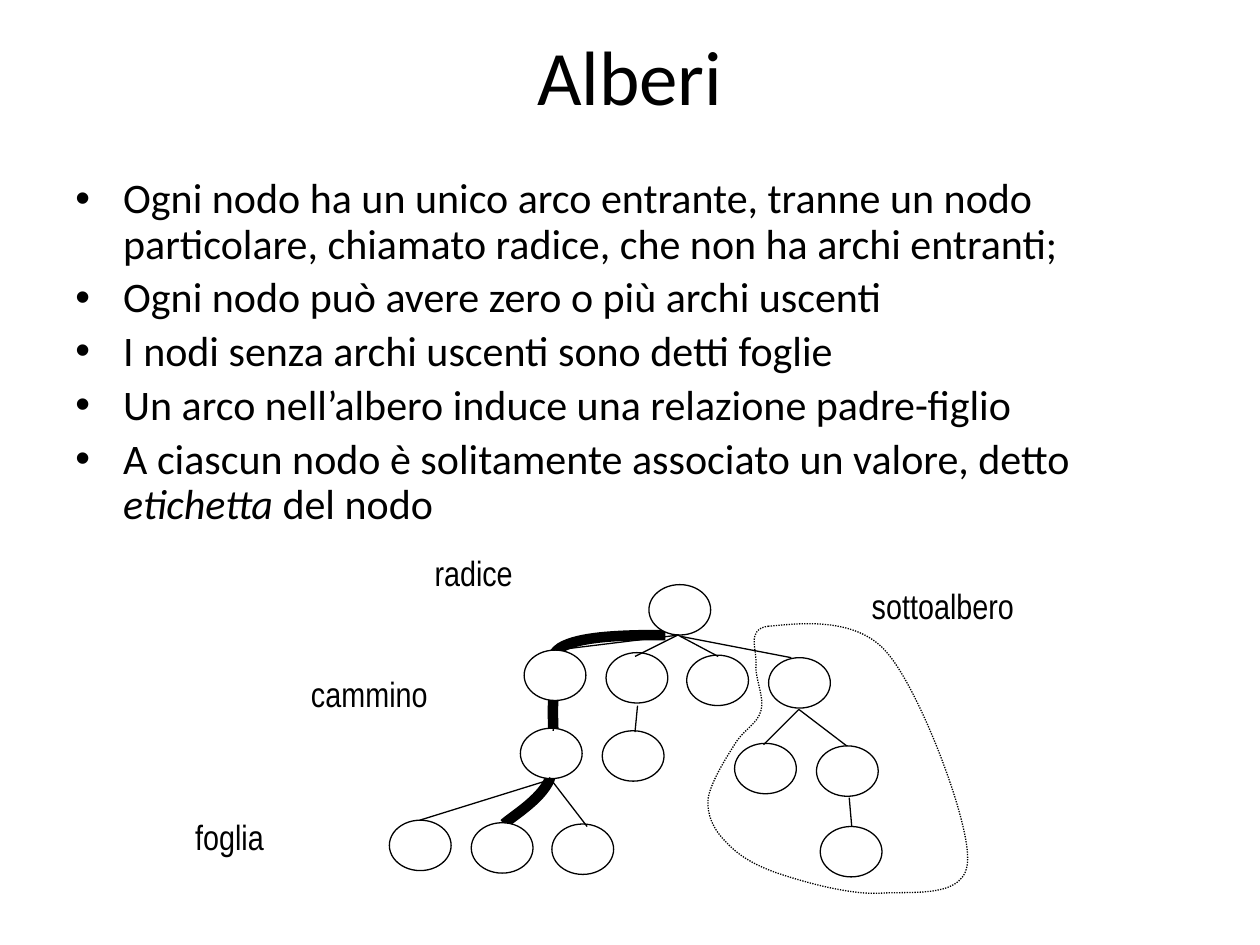
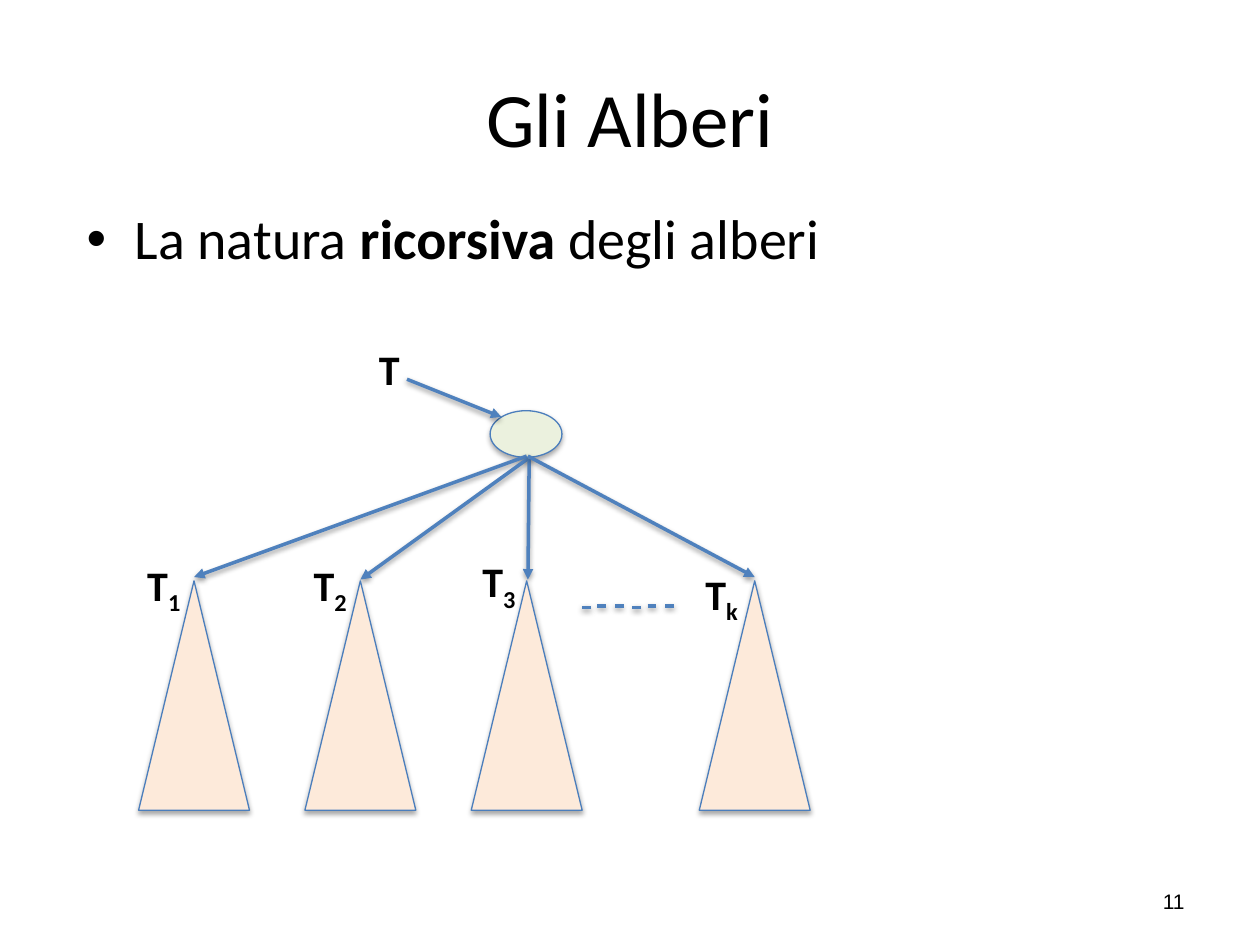
from lxml import etree
from pptx import Presentation
from pptx import util as u
from pptx.dml.color import RGBColor
from pptx.enum import dml, shapes, text
from pptx.oxml.ns import qn

BLACK = RGBColor(0x00, 0x00, 0x00)
WHITE = RGBColor(0xFF, 0xFF, 0xFF)
BLUE = RGBColor(0x4F, 0x81, 0xBD)
OUTLINE = RGBColor(0x4B, 0x7E, 0xBC)
GREEN = RGBColor(0xEB, 0xF1, 0xDE)
PEACH = RGBColor(0xFD, 0xEA, 0xDA)

TITLE = {"size": u.Pt(44), "name": "Calibri"}
LABEL = {"size": u.Pt(20), "name": "Arial Narrow"}
TREE_LABEL = {"size": u.Pt(24), "name": "Calibri", "bold": True}
NUMBER = {"size": u.Pt(12), "name": "Arial"}

# Shadows: opacity %, blur pt, distance pt
SHAPE_SHADOW = (35, 3.1, 1.8)
LINE_SHADOW = (38, 3.1, 1.6)

NODE_W, NODE_H = 0.49, 0.4
NODES = [(5.15, 4.64), (5.45, 5.2), (6.1, 5.22), (4.16, 5.16), (4.81, 5.18),
         (5.83, 5.9), (6.48, 5.92), (4.13, 5.78), (4.78, 5.8),
         (4.38, 6.54), (6.51, 6.56), (3.09, 6.51), (3.74, 6.53)]
EDGES = [(4.41, 5.16, 5.39, 5.04), (5.38, 5.04, 5.04, 5.21),
         (5.38, 5.04, 5.7, 5.21), (5.4, 5.05, 6.28, 5.22),
         (4.41, 5.56, 4.39, 5.8), (5.06, 5.6, 5.04, 5.81),
         (6.34, 5.63, 6.06, 5.91), (6.34, 5.63, 6.72, 5.92),
         (4.36, 6.19, 3.33, 6.51), (4.36, 6.17, 4.66, 6.56),
         (4.36, 6.19, 4, 6.53), (6.74, 6.33, 6.76, 6.56)]

# Bezier curves: a start point, then three points for each segment
TREE_PATH = [(5.28, 5.04),
             (4.94, 5.04), (4.6, 5.05), (4.45, 5.14),
             (4.3, 5.24), (4.41, 5.41), (4.39, 5.58),
             (4.38, 5.75), (4.42, 6.02), (4.36, 6.19),
             (4.29, 6.35), (4.05, 6.49), (4, 6.54)]
SUBTREE = [(6.1, 4.97),
           (5.92, 4.99), (6.01, 5.16), (6, 5.27),
           (5.99, 5.38), (6.07, 5.54), (6.04, 5.64),
           (6.01, 5.75), (5.9, 5.79), (5.83, 5.91),
           (5.76, 6.02), (5.64, 6.21), (5.62, 6.34),
           (5.61, 6.47), (5.66, 6.58), (5.76, 6.68),
           (5.85, 6.78), (5.97, 6.86), (6.17, 6.93),
           (6.38, 7), (6.73, 7.1), (6.98, 7.09),
           (7.24, 7.07), (7.68, 7.14), (7.68, 6.82),
           (7.69, 6.5), (7.3, 5.48), (7.04, 5.18),
           (6.78, 4.87), (6.27, 4.96), (6.1, 4.97)]


def inches(values):
    return [u.Inches(v) for v in values]


def apply(target, values):
    for name, value in values.items():
        setattr(target, name, value)


def add_run(p, words, font, **extra):
    r = p.add_run()
    r.text = words
    apply(r.font, {**font, **extra})
    r.font.color.rgb = BLACK
    return r


def add_box(parent, at, **frame):
    tf = parent.add_textbox(*inches(at)).text_frame
    apply(tf, {"word_wrap": True, **frame})
    return tf


def add_title(slide, words, at):
    p = add_box(slide.shapes, at,
                vertical_anchor=text.MSO_ANCHOR.MIDDLE).paragraphs[0]
    p.alignment = text.PP_ALIGN.CENTER
    add_run(p, words, TITLE)


def add_bullets(slide, at, items, size, spacing=None):
    """Each item is a list of (words, extra font values)."""
    tf = add_box(slide.shapes, at)
    for i, item in enumerate(items):
        p = tf.add_paragraph() if i else tf.paragraphs[0]
        apply(p, {"line_spacing": spacing, "space_before": u.Pt(size * 0.2)})
        pPr = p._p.get_or_add_pPr()
        pPr.set("marL", str(u.Inches(0.38)))
        pPr.set("indent", str(u.Inches(-0.38)))
        etree.SubElement(pPr, qn("a:buFont")).set("typeface", "Arial")
        etree.SubElement(pPr, qn("a:buChar")).set("char", "•")
        for words, extra in item:
            add_run(p, words, {"size": u.Pt(size), "name": "Calibri"}, **extra)


def add_label(parent, at, words, font, subscript=None):
    p = add_box(parent, at, word_wrap=False,
                auto_size=text.MSO_AUTO_SIZE.SHAPE_TO_FIT_TEXT).paragraphs[0]
    add_run(p, words, font)
    if subscript:
        r = add_run(p, subscript, font)
        r._r.get_or_add_rPr().set("baseline", "-25000")


def add_shadow(effects, opacity, blur, distance):
    shadow = etree.SubElement(effects, qn("a:outerShdw"), {
        "blurRad": str(u.Pt(blur)), "dist": str(u.Pt(distance)),
        "dir": "5400000", "rotWithShape": "0"})
    color = etree.SubElement(shadow, qn("a:srgbClr"), val=str(BLACK))
    etree.SubElement(color, qn("a:alpha"), val=str(opacity * 1000))


def set_line(line, color, width):
    line.color.rgb = color
    line.width = u.Pt(width)


def add_figure(parent, kind, at, fill, color, shadow=None):
    sp = parent.add_shape(kind, *inches(at))
    sp.shadow.inherit = False
    sp.fill.solid()
    sp.fill.fore_color.rgb = fill
    set_line(sp.line, color, 0.75)
    if shadow:
        add_shadow(sp._element.spPr.find(qn("a:effectLst")), *shadow)


def add_line(parent, ends, color, width, arrow=False, shadow=None):
    c = parent.add_connector(shapes.MSO_CONNECTOR.STRAIGHT, *inches(ends))
    set_line(c.line, color, width)
    spPr = c._element.spPr
    if arrow:
        etree.SubElement(spPr.find(qn("a:ln")), qn("a:tailEnd"), type="triangle")
    effects = etree.SubElement(spPr, qn("a:effectLst"))
    if shadow:
        add_shadow(effects, *shadow)


def add_curve(parent, points, width, close=False, dash=None):
    first, *rest = [inches(pt) for pt in points]
    builder = parent.build_freeform(*first)
    builder.add_line_segments(rest, close=close)
    sp = builder.convert_to_shape()
    # Merge every three straight segments into one cubic segment
    segments = list(sp._element.spPr.iter(qn("a:lnTo")))
    for i in range(0, len(segments), 3):
        cubic = etree.Element(qn("a:cubicBezTo"))
        segments[i].addprevious(cubic)
        for segment in segments[i:i + 3]:
            cubic.append(segment[0])
            segment.getparent().remove(segment)
    sp.shadow.inherit = False
    sp.fill.background()
    set_line(sp.line, BLACK, width)
    if dash:
        sp.line.dash_style = dash


def tree_slide(slide):
    add_title(slide, "Alberi", (0.5, 0.18, 9, 0.82))
    add_bullets(slide, (0.5, 1.36, 9.17, 3.14), [
        [("Ogni nodo ha un unico arco entrante, tranne un nodo particolare, "
          "chiamato radice, che non ha archi entranti;", {})],
        [("Ogni nodo può avere zero o più archi uscenti", {})],
        [("I nodi senza archi uscenti sono detti foglie", {})],
        [("Un arco nell’albero induce una relazione padre-figlio", {})],
        [("A ciascun nodo è solitamente associato un valore, detto ", {}),
         ("etichetta", {"italic": True}), (" del nodo", {})],
    ], 24, 0.9)

    # Tree: highlighted path, nodes, edges, subtree outline
    tree = slide.shapes.add_group_shape().shapes
    add_curve(tree, TREE_PATH, 6)
    for x, y in NODES:
        add_figure(tree, shapes.MSO_SHAPE.OVAL, (x, y, NODE_W, NODE_H), WHITE, BLACK)
    for ends in EDGES:
        add_line(tree, ends, BLACK, 0.75)
    add_curve(tree, SUBTREE, 0.75, close=True, dash=dml.MSO_LINE.ROUND_DOT)

    for words, x, y, w in [("sottoalbero", 6.82, 4.59, 2.41),
                           ("cammino", 2.37, 5.29, 2.04),
                           ("radice", 3.35, 4.33, 1.49),
                           ("foglia", 1.45, 6.42, 1.35)]:
        add_label(tree, (x, y, w, 0.65), words, LABEL)


def recursion_slide(slide):
    add_title(slide, "Gli Alberi", (0.5, 0.3, 9, 1.25))
    add_bullets(slide, (0.59, 1.57, 9, 0.9), [
        [("La natura ", {}), ("ricorsiva", {"bold": True}), (" degli alberi", {})],
    ], 32)

    # Slide number
    p = add_box(slide.shapes, (7.17, 6.95, 2.33, 0.4),
                vertical_anchor=text.MSO_ANCHOR.MIDDLE).paragraphs[0]
    p.alignment = text.PP_ALIGN.RIGHT
    add_run(p, "11", NUMBER)

    # Root and arrows
    sh = slide.shapes
    add_figure(sh, shapes.MSO_SHAPE.OVAL, (3.89, 3.26, 0.57, 0.37),
               GREEN, OUTLINE, SHAPE_SHADOW)
    for ends in [(3.23, 3.01, 3.98, 3.31), (4.18, 3.62, 1.54, 4.58),
                 (4.19, 3.64, 2.86, 4.6), (4.2, 3.64, 4.19, 4.6),
                 (4.19, 3.62, 5.99, 4.58)]:
        add_line(sh, ends, BLUE, 2, True, LINE_SHADOW)

    # Subtrees
    for x in (1.1, 2.42, 3.74, 5.55):
        add_figure(sh, shapes.MSO_SHAPE.ISOSCELES_TRIANGLE, (x, 4.61, 0.88, 1.82),
                   PEACH, OUTLINE, SHAPE_SHADOW)

    # Two groups of three dashes between the third subtree and the last
    for left in (4.62, 5.02):
        dashes = sh.add_group_shape().shapes
        for offset, y in [(0, 4.82), (0.12, 4.81), (0.26, 4.81)]:
            x = left + offset
            add_line(dashes, (x, y, x + 0.07, y), BLUE, 2, shadow=LINE_SHADOW)

    # Names of the trees
    add_label(sh, (2.91, 2.68, 0.37, 0.5), "T", TREE_LABEL)
    for index, x, y in [("1", 1.07, 4.39), ("2", 2.39, 4.39),
                        ("3", 3.73, 4.36), ("k", 5.5, 4.46)]:
        add_label(sh, (x, y, 0.48, 0.5), "T", TREE_LABEL, index)


def main():
    prs = Presentation()
    prs.slide_width, prs.slide_height = inches((10, 7.5))
    for build in (tree_slide, recursion_slide):
        build(prs.slides.add_slide(prs.slide_layouts[6]))
    prs.save("out.pptx")


main()
